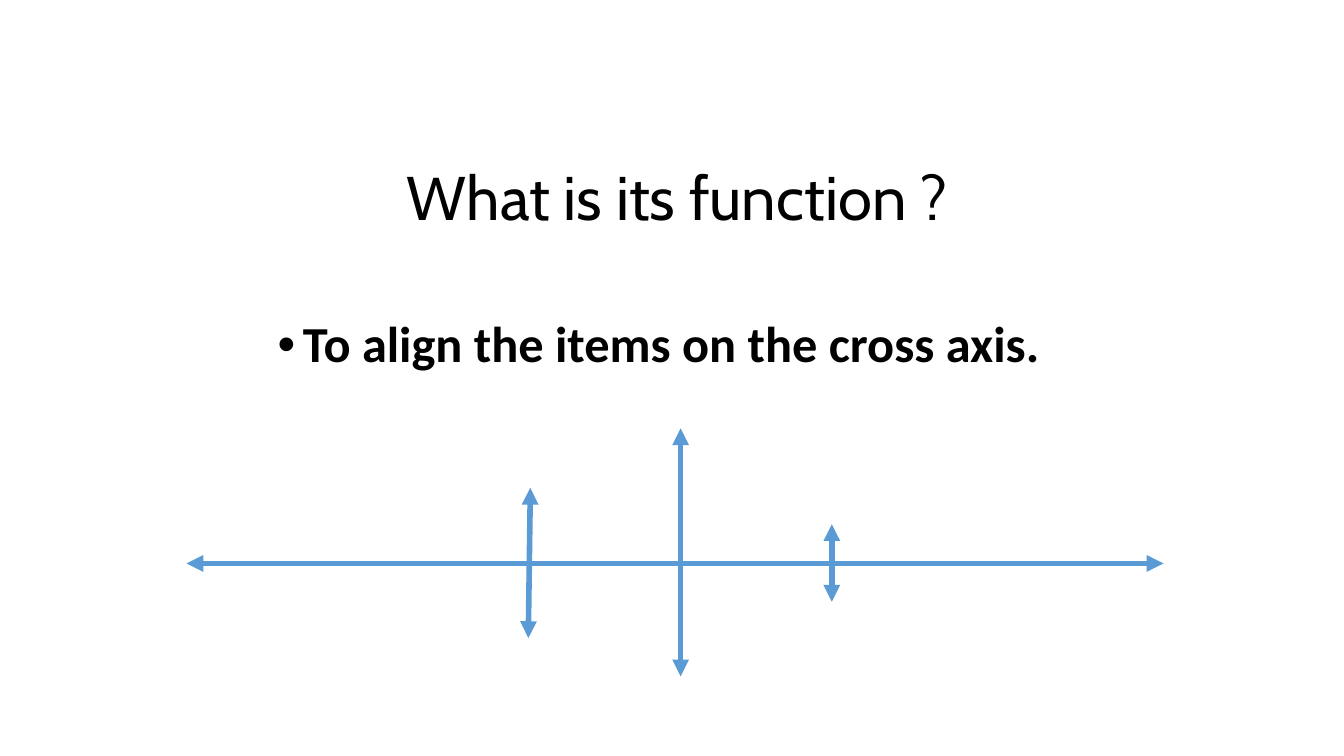
from dataclasses import dataclass

from lxml import etree
from pptx import Presentation
from pptx import util as u
from pptx.dml import color
from pptx.enum import shapes, text
from pptx.oxml import ns


@dataclass(frozen=True)
class Theme:
    ink: str = "000000"
    axis: str = "5B9BD5"
    title_font: str = "Cabin"
    body_font: str = "Calibri"
    title_size: int = 44
    body_size: int = 36
    axis_width: int = 4


class SlideBuilder:
    def __init__(self, slide, theme):
        self.slide = slide
        self.theme = theme

    def text_box(self, content, left, top, width, height, font, size, bold, anchor):
        box = self.slide.shapes.add_textbox(
            u.Inches(left), u.Inches(top), u.Inches(width), u.Inches(height))
        frame = box.text_frame
        frame.word_wrap = True
        frame.vertical_anchor = anchor
        frame.text = content
        paragraph = frame.paragraphs[0]
        paragraph.alignment = text.PP_ALIGN.CENTER
        paragraph.line_spacing = 0.9
        style = paragraph.runs[0].font
        style.name = font
        style.size = u.Pt(size)
        style.bold = bold
        style.color.rgb = color.RGBColor.from_string(self.theme.ink)
        return paragraph

    def title(self, content, left, top, width, height):
        self.text_box(content, left, top, width, height, self.theme.title_font,
                      self.theme.title_size, False, text.MSO_ANCHOR.MIDDLE)

    def bullet(self, content, left, top, width, height):
        paragraph = self.text_box(content, left, top, width, height, self.theme.body_font,
                                  self.theme.body_size, True, text.MSO_ANCHOR.TOP)
        paragraph.space_before = u.Pt(10)
        properties = paragraph._p.get_or_add_pPr()
        properties.set("marL", str(u.Inches(0.25)))
        properties.set("indent", str(-u.Inches(0.25)))
        etree.SubElement(properties, ns.qn("a:buFont"), typeface="Arial")
        etree.SubElement(properties, ns.qn("a:buChar"), char="•")

    def double_arrow(self, start_x, start_y, end_x, end_y):
        connector = self.slide.shapes.add_connector(
            shapes.MSO_CONNECTOR.STRAIGHT, u.Inches(start_x), u.Inches(start_y),
            u.Inches(end_x), u.Inches(end_y))
        connector.line.color.rgb = color.RGBColor.from_string(self.theme.axis)
        connector.line.width = u.Pt(self.theme.axis_width)
        outline = connector.line._get_or_add_ln()
        for end in ("a:headEnd", "a:tailEnd"):
            etree.SubElement(outline, ns.qn(end), type="triangle")
        etree.SubElement(connector._element.spPr, ns.qn("a:effectLst"))


presentation = Presentation()
presentation.slide_width = u.Inches(13.33)
presentation.slide_height = u.Inches(7.5)
slide = presentation.slides.add_slide(presentation.slide_layouts[6])
builder = SlideBuilder(slide, Theme())

builder.title("What is its function ?", 0.97, 1.26, 11.5, 1.45)
builder.bullet("To align the items on the cross axis.", 1.85, 3.12, 9.37, 3.59)

main_axis = (1.85, 5.59, 11.54, 5.59)
cross_arrows = [
    (5.26, 4.84, 5.24, 6.33),
    (6.75, 4.25, 6.75, 6.71),
    (8.25, 5.2, 8.25, 5.97),
]
for arrow in [main_axis, *cross_arrows]:
    builder.double_arrow(*arrow)

presentation.save("out.pptx")
